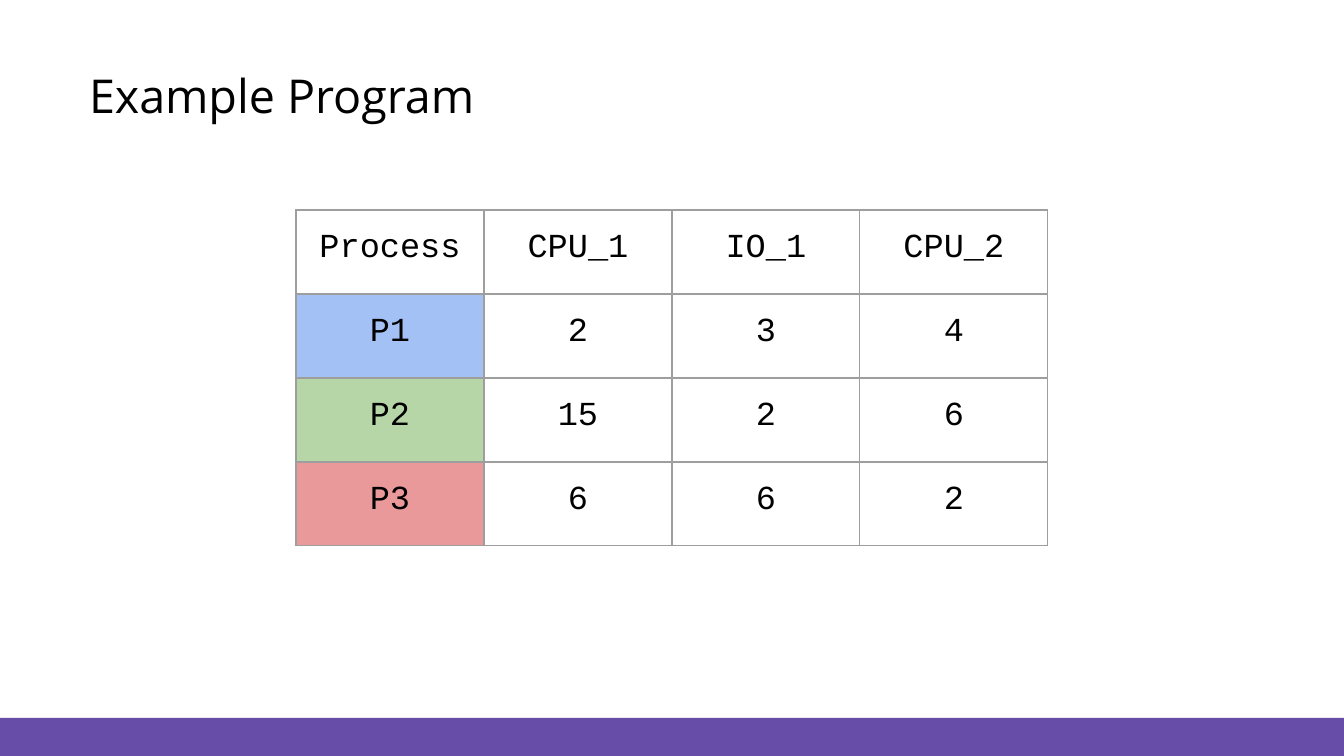
from pptx import Presentation
from pptx.dml.color import RGBColor
from pptx.enum.shapes import MSO_SHAPE
from pptx.enum.text import MSO_ANCHOR, MSO_AUTO_SIZE, PP_ALIGN
from pptx.oxml import parse_xml
from pptx.oxml.ns import nsdecls
from pptx.util import Emu, Pt

EMU_PER_PX = 914400 / 134.4
SLIDE_W, SLIDE_H = 1344, 756

BLACK = RGBColor(0x00, 0x00, 0x00)
PURPLE = RGBColor(0x67, 0x4D, 0xA7)
GRAY = RGBColor(0x9E, 0x9E, 0x9E)
BLUE = RGBColor(0xA3, 0xC1, 0xF4)
GREEN = RGBColor(0xB6, 0xD6, 0xA8)
RED = RGBColor(0xE9, 0x99, 0x99)

ROWS = [
    ("Process", "CPU_1", "IO_1", "CPU_2"),
    ("P1", "2", "3", "4"),
    ("P2", "15", "2", "6"),
    ("P3", "6", "6", "2"),
]
PROCESS_FILLS = {"P1": BLUE, "P2": GREEN, "P3": RED}


def px(n):
    return Emu(round(n * EMU_PER_PX))


def set_text(tf, text, *, font, size, color=BLACK, align=PP_ALIGN.LEFT):
    p = tf.paragraphs[0]
    p.alignment = align
    r = p.add_run()
    r.text = text
    r.font.name = font
    r.font.size = Pt(size)
    r.font.bold = False
    r.font.color.rgb = color


def set_margins(box, left=0, top=0):
    box.margin_left, box.margin_top = px(left), px(top)
    box.margin_right = box.margin_bottom = 0
    box.vertical_anchor = MSO_ANCHOR.TOP


def add_bar(s, top):
    sp = s.shapes.add_shape(MSO_SHAPE.RECTANGLE, 0, px(top), px(SLIDE_W), px(SLIDE_H - top))
    sp.shadow.inherit = False
    sp.fill.solid()
    sp.fill.fore_color.rgb = PURPLE
    sp.line.fill.background()


def format_title(s, text):
    sp = s.shapes.title
    sp.left, sp.top, sp.width, sp.height = px(87), px(64), px(509), px(59)
    tf = sp.text_frame
    tf.word_wrap = True
    tf.auto_size = MSO_AUTO_SIZE.SHAPE_TO_FIT_TEXT
    set_margins(tf, left=2, top=3)
    set_text(tf, text, font="Open Sans", size=25)


def set_borders(cell, color, width):
    tcPr = cell._tc.get_or_add_tcPr()
    for i, side in enumerate(("lnL", "lnR", "lnT", "lnB")):
        # Borders come before the fill in the cell properties
        tcPr.insert(i, parse_xml(
            f'<a:{side} {nsdecls("a")} w="{Pt(width)}"><a:solidFill>'
            f'<a:srgbClr val="{color}"/></a:solidFill></a:{side}>'))


def add_process_table(s, left, top, col_w, row_h):
    n_rows, n_cols = len(ROWS), len(ROWS[0])
    table = s.shapes.add_table(n_rows, n_cols, px(left), px(top),
                               px(n_cols * col_w), px(n_rows * row_h)).table
    table.first_row = table.horz_banding = False
    for i, row in enumerate(ROWS):
        for j, text in enumerate(row):
            cell = table.cell(i, j)
            set_margins(cell, top=20)
            set_text(cell.text_frame, text, font="Courier New", size=18, align=PP_ALIGN.CENTER)
            if text in PROCESS_FILLS:
                cell.fill.solid()
                cell.fill.fore_color.rgb = PROCESS_FILLS[text]
            else:
                cell.fill.background()
            set_borders(cell, GRAY, 0.75)


def main():
    prs = Presentation()
    prs.slide_width, prs.slide_height = px(SLIDE_W), px(SLIDE_H)
    s = prs.slides.add_slide(prs.slide_layouts[5])

    # Footer bar
    add_bar(s, 718)
    # Title
    format_title(s, "Example Program")
    # Burst times of each process
    add_process_table(s, left=296, top=210, col_w=188, row_h=84)

    prs.save("out.pptx")


if __name__ == "__main__":
    main()
